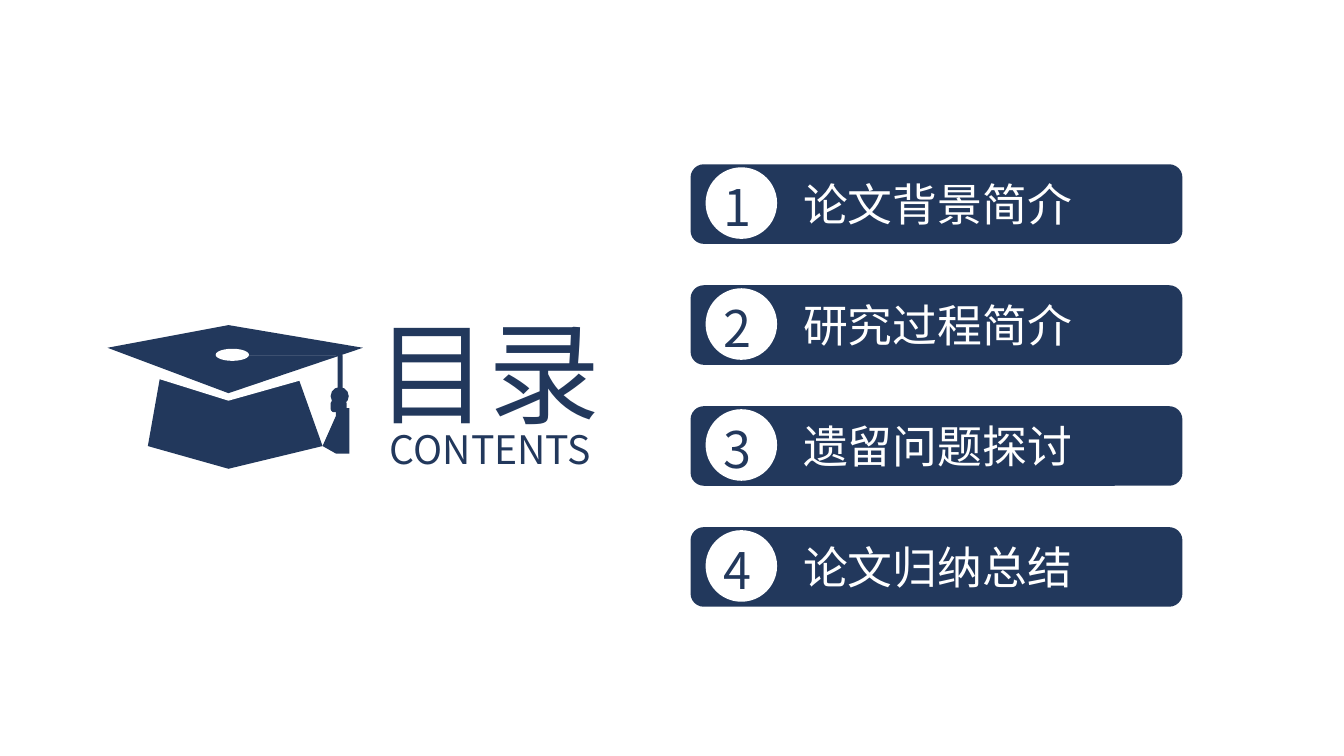
from pptx import Presentation
from pptx import util as u
from pptx.dml.color import RGBColor
from pptx.enum import shapes, text
from pptx.oxml.ns import qn
from lxml import etree

COLORS = {"navy": "22385C", "white": "FFFFFF"}
FONT = "Noto Sans CJK SC"
W, H = u.Inches(13.333), u.Inches(7.5)
OVAL, ROUND = shapes.MSO_SHAPE.OVAL, shapes.MSO_SHAPE.ROUNDED_RECTANGLE
JUSTIFY, LEFT = text.PP_ALIGN.JUSTIFY, text.PP_ALIGN.LEFT

# Places and sizes are percentages of the slide's width and height
FIRST_ROW, ROW_STEP = 21.73, 16
CHAPTERS = ["论文背景简介", "研究过程简介", "遗留问题探讨", "论文归纳总结"]

CAP_BASE = [(23.62, 58.53), (17.33, 61.87), (10.95, 58.53), (12.22, 48.93), (22.28, 48.93)]
BOARD_EDGE = [(27, 46.4), (17.25, 42.53), (7.5, 46.4), (7.5, 48.13), (17.25, 53.33), (27, 48.13)]
BOARD = [(17.25, 51.73), (7.57, 46.4), (17.25, 42.53), (27, 46.4)]
CORD = [(16.88, 46.67), (25.2, 46.8), (25.42, 47.2), (25.2, 47.47), (17.02, 47.33)]
TASSEL = [(24.67, 60), (24.45, 59.47), (24.67, 54.8), (24.9, 54.4),
          (25.65, 54.4), (25.88, 54.8), (26.18, 59.47), (25.88, 60)]


def place(x, y, w, h):
    return [round(v * side / 100) for v, side in zip((x, y, w, h), (W, H, W, H))]


def paint(sp, color):
    sp.shadow.inherit = False
    sp.fill.solid()
    sp.fill.fore_color.rgb = RGBColor.from_string(COLORS[color])
    sp.line.fill.background()


def add_shape(parent, kind, box, color, corner=None):
    sp = parent.shapes.add_shape(kind, *place(*box))
    paint(sp, color)
    if corner is not None:
        sp.adjustments[0] = corner


def add_outline(parent, points, color):
    (x, y), *rest = points
    builder = parent.shapes.build_freeform(x, y, scale=(W / 100, H / 100))
    builder.add_line_segments(rest, close=True)
    paint(builder.convert_to_shape(), color)


def add_text(parent, words, box, size, color, align=JUSTIFY):
    tf = parent.shapes.add_textbox(*place(*box)).text_frame
    frame = {"word_wrap": True, "auto_size": text.MSO_AUTO_SIZE.SHAPE_TO_FIT_TEXT}
    for name, value in frame.items():
        setattr(tf, name, value)
    p = tf.paragraphs[0]
    p.alignment = align
    r = p.add_run()
    r.text = words
    for name, value in {"size": u.Pt(size), "name": FONT}.items():
        setattr(r.font, name, value)
    r.font.color.rgb = RGBColor.from_string(COLORS[color])
    # Chinese characters take the East Asian font
    etree.SubElement(r.font._element, qn("a:ea"), typeface=FONT)


def add_cap(slide):
    cap = slide.shapes.add_group_shape()
    add_outline(cap, CAP_BASE, "navy")
    add_outline(cap, BOARD_EDGE, "white")
    add_outline(cap, BOARD, "navy")
    add_outline(cap, CORD, "white")
    # Hanging cord, knob, tassel and knot
    add_shape(cap, ROUND, (25.12, 46.8, 0.38, 5.07), "navy", 0.5)
    add_shape(cap, OVAL, (24.6, 51.2, 1.35, 2.4), "navy")
    add_outline(cap, TASSEL, "navy")
    add_shape(cap, ROUND, (24.6, 52.93, 1.2, 1.6), "navy", 0.3)
    # Button on the board
    add_shape(cap, OVAL, (16.05, 46.13, 2.48, 1.6), "white")


def add_chapter(slide, number, title, top):
    row = slide.shapes.add_group_shape()
    add_shape(row, ROUND, (51.38, top, 36.6, 10.53), "navy")
    add_shape(row, OVAL, (52.5, top + 0.4, 5.32, 9.47), "white")
    add_text(row, str(number), (53.1, top + 0.94, 4.35, 9.47), 36, "navy", LEFT)
    add_text(row, title, (59.02, top + 0.94, 27.68, 8.53), 32, "white")


def main():
    prs = Presentation()
    prs.slide_width, prs.slide_height = W, H
    slide = prs.slides.add_slide(prs.slide_layouts[6])

    # Left: cap and heading
    add_cap(slide)
    add_text(slide, "目录", (27.3, 39.47, 19.42, 19.33), 80, "navy")
    add_text(slide, "CONTENTS", (28.28, 55.6, 17.62, 7.6), 28, "navy")

    # Right: chapter bars
    for i, title in enumerate(CHAPTERS):
        add_chapter(slide, i + 1, title, FIRST_ROW + i * ROW_STEP)

    prs.save("out.pptx")


if __name__ == "__main__":
    main()
